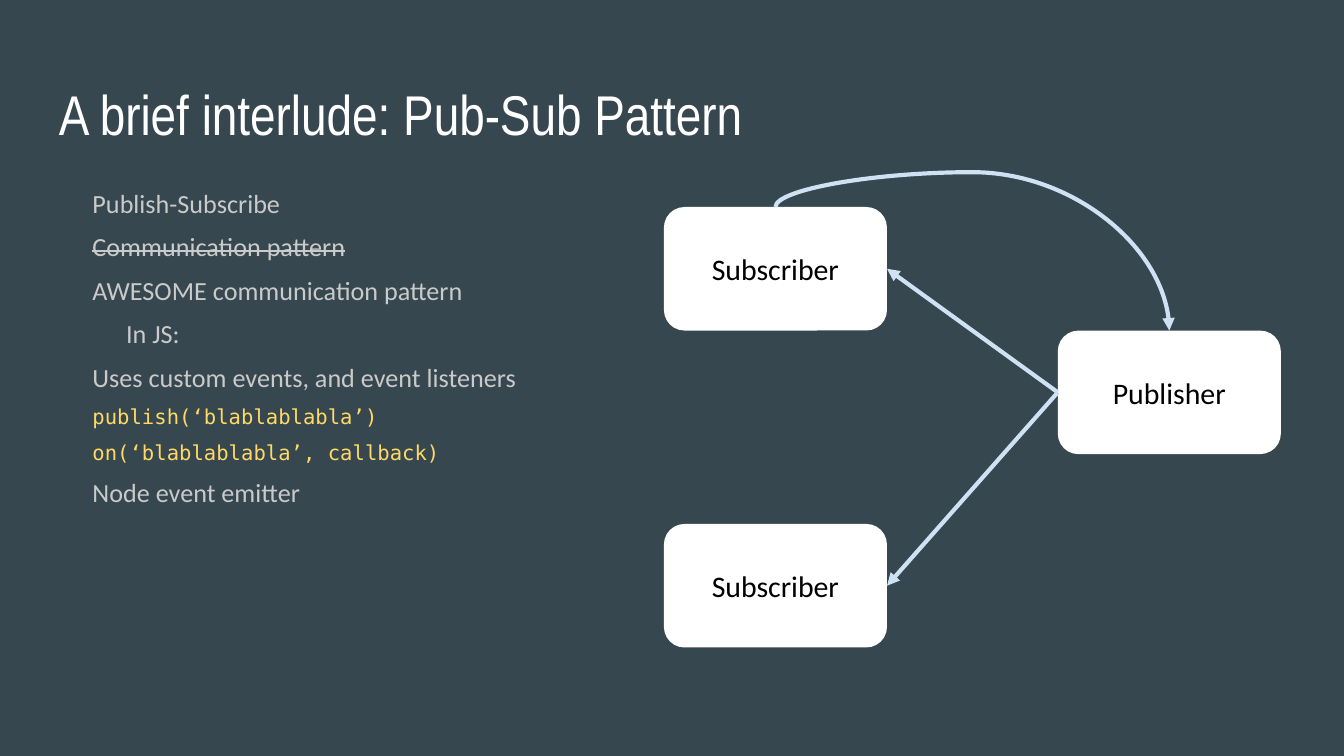
from pptx import Presentation
from pptx.dml.color import RGBColor
from pptx.enum.shapes import MSO_CONNECTOR, MSO_SHAPE
from pptx.enum.text import MSO_ANCHOR, PP_ALIGN
from pptx.oxml.ns import qn
from pptx.util import Pt
from lxml import etree

SLATE = RGBColor(0x37, 0x47, 0x4F)
WHITE = RGBColor(0xFF, 0xFF, 0xFF)
BLACK = RGBColor(0x00, 0x00, 0x00)
GREY = RGBColor(0xCA, 0xCA, 0xCA)
YELLOW = RGBColor(0xFF, 0xD9, 0x66)
PALE_BLUE = RGBColor(0xCF, 0xE2, 0xF3)

INSET = 7.2
NODE_W, NODE_H = 119.5, 66.2
TOP, LEFT, RIGHT = 0, 1, 3  # connection sites of a rounded rectangle

# Each point: text, kind
POINTS = [
    ("Publish-Subscribe", "plain"),
    ("Communication pattern", "struck"),
    ("AWESOME communication pattern", "plain"),
    ("In JS:", "indented"),
    ("Uses custom events, and event listeners", "plain"),
    ("publish(‘blablablabla’)", "code"),
    ("on(‘blablablabla’, callback)", "code"),
    ("Node event emitter", "plain"),
]


def style_text(paragraph, font_name, size, color):
    for run in paragraph.runs:
        run.font.name = font_name
        run.font.size = Pt(size)
        run.font.color.rgb = color


def set_insets(frame):
    frame.word_wrap = True
    frame.margin_left = frame.margin_right = Pt(INSET)
    frame.margin_top = frame.margin_bottom = Pt(INSET)


def add_text_frame(slide, left, top, width, height):
    frame = slide.shapes.add_textbox(Pt(left), Pt(top), Pt(width), Pt(height)).text_frame
    set_insets(frame)
    return frame


def add_title(slide, left, top, width, height):
    title = add_text_frame(slide, left, top, width, height)
    title.text = "A brief interlude: Pub-Sub Pattern"
    style_text(title.paragraphs[0], "Arial Narrow", 30, WHITE)


def add_points(slide, left, top, width, height):
    body = add_text_frame(slide, left, top, width, height)
    body.text = "\n".join(text for text, _ in POINTS)
    for paragraph, (_, kind) in zip(body.paragraphs, POINTS):
        paragraph.line_spacing = 1.15
        paragraph.space_after = Pt(4)
        indent = 0 if kind == "indented" else -18
        properties = paragraph._p.get_or_add_pPr()
        properties.set("marL", str(Pt(36)))
        properties.set("indent", str(Pt(indent)))
        if kind == "code":
            style_text(paragraph, "DejaVu Sans Mono", 11, YELLOW)
        else:
            style_text(paragraph, "Calibri", 14, GREY)
        if kind == "struck":
            paragraph.runs[0].font._element.set("strike", "sngStrike")


def add_node(group, label, left, top):
    node = group.shapes.add_shape(
        MSO_SHAPE.ROUNDED_RECTANGLE, Pt(left), Pt(top), Pt(NODE_W), Pt(NODE_H))
    node.shadow.inherit = False
    node.fill.solid()
    node.fill.fore_color.rgb = WHITE
    node.line.fill.background()
    frame = node.text_frame
    set_insets(frame)
    frame.vertical_anchor = MSO_ANCHOR.MIDDLE
    frame.text = label
    frame.paragraphs[0].alignment = PP_ALIGN.CENTER
    style_text(frame.paragraphs[0], "Calibri", 16, BLACK)
    return node


def add_arrow(group, kind, x1, y1, x2, y2):
    arrow = group.shapes.add_connector(kind, Pt(x1), Pt(y1), Pt(x2), Pt(y2))
    arrow.line.color.rgb = PALE_BLUE
    arrow.line.width = Pt(2.25)
    etree.SubElement(arrow.line._get_or_add_ln(), qn("a:tailEnd"), type="triangle")
    etree.SubElement(arrow._element.spPr, qn("a:effectLst"))
    return arrow


def add_arch_arrow(group, x1, y1, x2, y2, rise):
    """Curve up from the first point, over and down to the second."""
    span, drop = x2 - x1, y2 - y1
    center_x, center_y = (x1 + x2) / 2, (y1 + y2) / 2
    # The frame is laid on its side, then turned by 270 degrees
    arch = add_arrow(group, MSO_CONNECTOR.CURVE,
                     center_x + drop / 2, center_y - span / 2,
                     center_x - drop / 2, center_y + span / 2)
    properties = arch._element.spPr
    properties.find(qn("a:xfrm")).set("rot", str(270 * 60000))
    adjustments = properties.find(qn("a:prstGeom")).find(qn("a:avLst"))
    etree.SubElement(adjustments, qn("a:gd"), name="adj1",
                     fmla=f"val {round(-rise / drop * 100000)}")


def add_diagram(slide, left, top, width, height):
    group = slide.shapes.add_group_shape()
    publisher_x, publisher_y = left + width - NODE_W, top + NODE_H

    # Nodes
    upper = add_node(group, "Subscriber", left, top)
    publisher = add_node(group, "Publisher", publisher_x, publisher_y)
    lower = add_node(group, "Subscriber", left, top + height - NODE_H)

    # Messages from the publisher
    for subscriber in (upper, lower):
        message = add_arrow(group, MSO_CONNECTOR.STRAIGHT,
                            publisher_x, publisher_y + NODE_H / 2,
                            left + NODE_W, subscriber.top.pt + NODE_H / 2)
        message.begin_connect(publisher, LEFT)
        message.end_connect(subscriber, RIGHT)

    # Subscription to the publisher
    add_arch_arrow(group, left + NODE_W / 2, top,
                   publisher_x + NODE_W / 2, publisher_y, rise=18.7)


def main():
    presentation = Presentation()
    presentation.slide_width, presentation.slide_height = Pt(720), Pt(405)
    slide = presentation.slides.add_slide(presentation.slide_layouts[6])
    slide.background.fill.solid()
    slide.background.fill.fore_color.rgb = SLATE

    add_points(slide, 24.5, 90.7, 314.6, 269.3)
    add_title(slide, 24.5, 35.3, 671, 45.4)
    add_diagram(slide, 355.7, 110.9, 330.5, 236)
    presentation.save("out.pptx")


if __name__ == "__main__":
    main()
